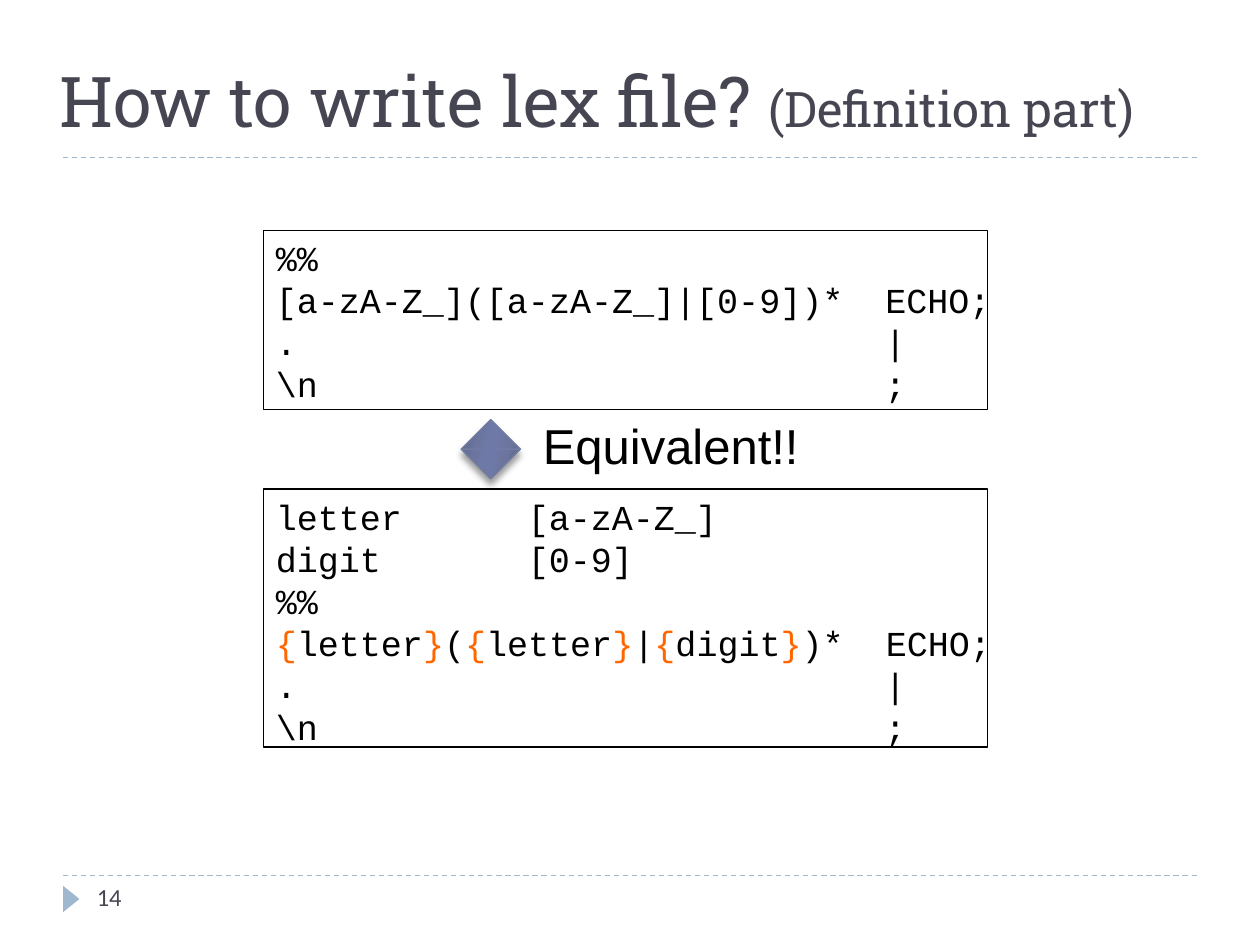
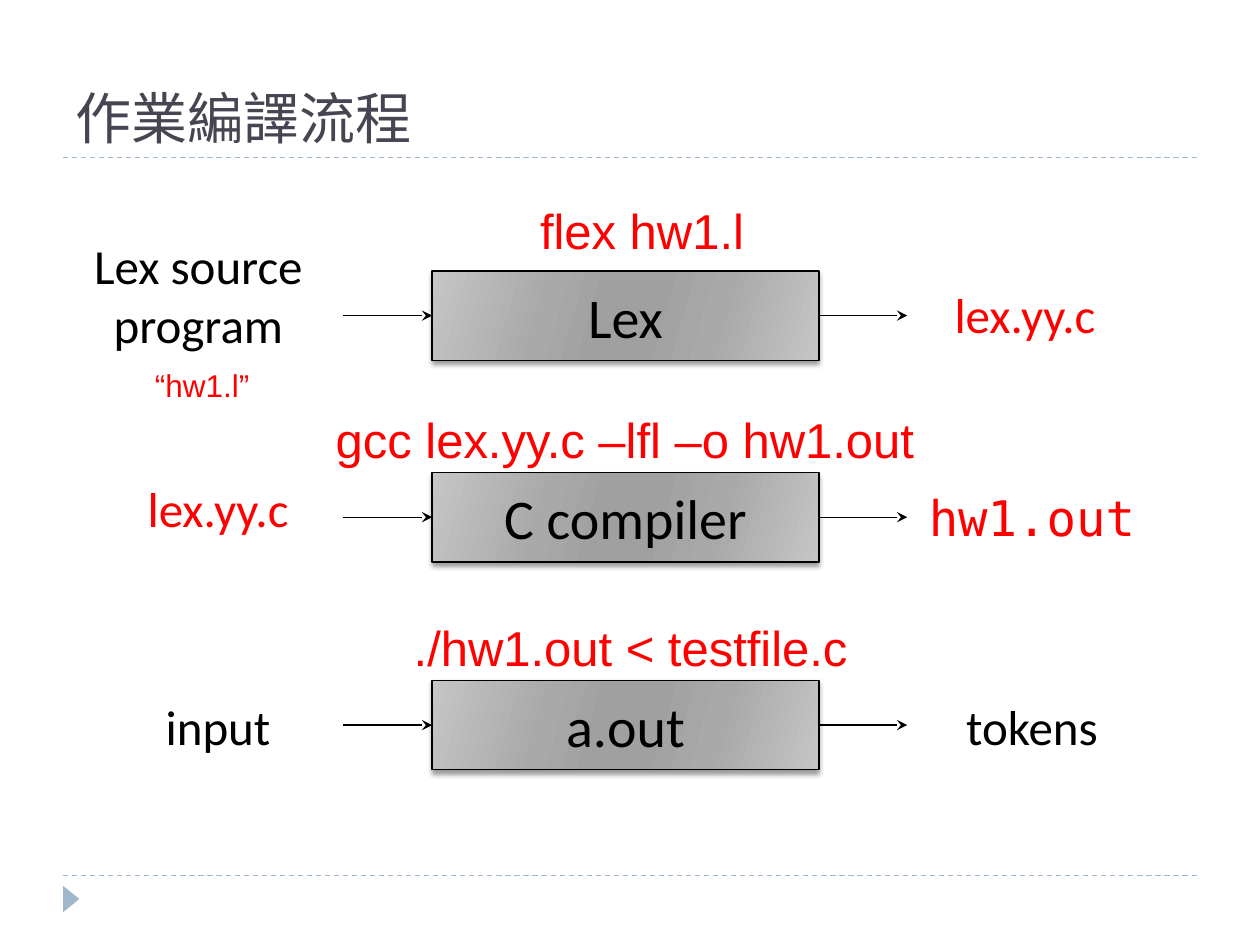
"""Build two slides on lex: the definition part and the compile flow."""
from itertools import groupby
from lxml import etree
from pptx import Presentation
from pptx.dml.color import RGBColor
from pptx.enum.dml import MSO_LINE
from pptx.enum.shapes import MSO_CONNECTOR, MSO_SHAPE
from pptx.enum.text import MSO_ANCHOR, MSO_AUTO_SIZE, PP_ALIGN
from pptx.oxml.ns import qn
from pptx.util import Inches, Pt

BLACK, WHITE, RED, ORANGE = "000000", "FFFFFF", "FF0000", "FF6600"
INK, SKY, INDIGO = "464653", "9FB8CD", "727CA3"
GREYS = ("C5C5C5", "A9A9A9", "A0A0A0")
BLUES = ("5D6585", "6B759E", "6E79A7")
STOPS = (0, 30, 45, 55, 73, 100)
LEFT, CENTER = PP_ALIGN.LEFT, PP_ALIGN.CENTER
rgb = RGBColor.from_string


def add_text(s, text, x, y, w, h, size, color, font="Calibri", align=CENTER):
    tb = s.shapes.add_textbox(Inches(x), Inches(y), Inches(w), Inches(h))
    tb.text_frame.word_wrap = True
    p = tb.text_frame.paragraphs[0]
    p.text, p.alignment = text, align
    p.font.size, p.font.name, p.font.color.rgb = Pt(size), font, rgb(color)


def add_line(s, x1, x2, y, color):
    line = s.shapes.add_connector(MSO_CONNECTOR.STRAIGHT, Inches(x1), Inches(y), Inches(x2), Inches(y))
    line.line.color.rgb, line.line.width = rgb(color), Pt(0.75)
    etree.SubElement(line.element.spPr, qn("a:effectLst"))
    return line


prs = Presentation()
prs.slide_width, prs.slide_height = Inches(10), Inches(7.5)
layout = prs.slide_layouts[5]
titles = [
    (0.37, 0.09, 9.61, [("How to write lex file? ", 40), ("(Definition part)", 28)], "Roboto Slab"),
    (0.5, 0.17, 9, [("作業編譯流程", 32)], "Calibri"),
]
for x, y, w, parts, font in titles:
    s = prs.slides.add_slide(layout)
    title = s.shapes.title
    title.left, title.top, title.width, title.height = Inches(x), Inches(y), Inches(w), Inches(1.08)
    tf = title.text_frame
    tf.auto_size, tf.vertical_anchor = MSO_AUTO_SIZE.NONE, MSO_ANCHOR.BOTTOM
    p = tf.paragraphs[0]
    p.alignment, p.font.name, p.font.color.rgb = LEFT, font, rgb(INK)
    for text, size in parts:
        r = p.add_run()
        r.text, r.font.size = text, Pt(size)
lex_slide, flow_slide = prs.slides

for y in (1.25, 6.95):
    rule = add_line(lex_slide, 0.5, 9.5, y, SKY)
    rule.line.dash_style = MSO_LINE.DASH
    layout.shapes.element.append(rule.element)
marker = lex_slide.shapes.add_shape(
    MSO_SHAPE.ISOSCELES_TRIANGLE, Inches(0.46), Inches(7.07), Inches(0.21), Inches(0.13))
marker.rotation = 90
marker.shadow.inherit = False
marker.fill.solid()
marker.fill.fore_color.rgb = rgb(SKY)
marker.line.fill.background()
layout.shapes.element.append(marker.element)

s = lex_slide
rest = [".\t\t\t\t     |", "\\n\t\t\t\t     ;"]
listings = [
    (1.83, 1.42, ["%%", "[a-zA-Z_]([a-zA-Z_]|[0-9])*  ECHO;"] + rest),
    (3.88, 2.05, ["letter\t[a-zA-Z_]", "digit\t\t[0-9]", "%%",
                  "{letter}({letter}|{digit})*  ECHO;"] + rest),
]
for y, h, lines in listings:
    box = s.shapes.add_shape(MSO_SHAPE.RECTANGLE, Inches(2.09), Inches(y), Inches(5.75), Inches(h))
    box.shadow.inherit = False
    box.fill.solid()
    box.fill.fore_color.rgb = rgb(WHITE)
    box.line.color.rgb, box.line.width = rgb(BLACK), Pt(0.75)
    tf = box.text_frame
    tf.word_wrap, tf.vertical_anchor = False, MSO_ANCHOR.TOP
    for i, line in enumerate(lines):
        p = tf.add_paragraph() if i else tf.paragraphs[0]
        p.alignment, p.font.size, p.font.name = LEFT, Pt(20), "Courier New"
        pPr = p._p.get_or_add_pPr()
        tabs = etree.Element(qn("a:tabLst"))
        pPr.insert(0, tabs)
        for stop in range(1, 5):
            etree.SubElement(tabs, qn("a:tab"), pos=str(Inches(stop)), algn="l")
        for is_brace, chars in groupby(line, key=lambda c: c in "{}"):
            r = p.add_run()
            r.text = "".join(chars)
            r.font.color.rgb = rgb(ORANGE if is_brace else BLACK)

arrow = s.shapes.add_shape(
    MSO_SHAPE.UP_DOWN_ARROW, Inches(3.66), Inches(3.33), Inches(0.47), Inches(0.47))
arrow.adjustments[0], arrow.adjustments[1] = 0.5, 0.2
glossy = [(arrow, BLUES, INDIGO, 4, 3.4)]
add_text(s, "Equivalent!!", 4.21, 3.25, 2.28, 0.57, 28, BLACK, "Arial", LEFT)
add_text(s, "14", 0.67, 6.95, 2.17, 0.4, 14, INK, align=LEFT)

s = flow_slide
for y, name in [(2.15, "Lex"), (3.75, "C compiler"), (5.4, "a.out")]:
    box = s.shapes.add_shape(MSO_SHAPE.RECTANGLE, Inches(3.43), Inches(y), Inches(3.07), Inches(0.71))
    glossy.append((box, GREYS, BLACK, 3, 2))
    tf = box.text_frame
    tf.word_wrap, tf.vertical_anchor = False, MSO_ANCHOR.MIDDLE
    p = tf.paragraphs[0]
    p.text, p.alignment = name, CENTER
    p.font.size, p.font.name, p.font.color.rgb = Pt(32), "Calibri", rgb(BLACK)
    middle = y + 0.71 / 2
    inflow = add_line(s, 2.72, 3.43, middle, BLACK)
    inflow.end_connect(box, 1)
    outflow = add_line(s, 6.5, 7.2, middle, BLACK)
    outflow.begin_connect(box, 3)
    for flow in (inflow, outflow):
        etree.SubElement(flow.get_or_add_ln(), qn("a:tailEnd"), type="stealth")

labels = [
    ("Lex source program", 0.51, 1.82, 2.13, 1.03, 28, BLACK),
    ("lex.yy.c", 0.59, 3.75, 2.28, 0.57, 28, RED),
    ("input", 0.59, 5.48, 2.28, 0.57, 28, BLACK),
    ("lex.yy.c", 7.07, 2.21, 2.13, 0.57, 28, RED),
    ("hw1.out", 7.05, 3.82, 2.28, 0.57, 28, RED, "DejaVu Sans Mono"),
    ("tokens", 7.05, 5.48, 2.28, 0.57, 28, BLACK),
    ("“hw1.l”", 0.59, 2.86, 2.03, 0.4, 18, RED, "Arial"),
    ("flex hw1.l", 3.12, 1.54, 3.95, 0.57, 28, RED, "Arial"),
    ("gcc lex.yy.c –lfl –o hw1.out", 2.56, 3.2, 4.8, 0.57, 28, RED, "Arial"),
    ("./hw1.out < testfile.c", 3.12, 4.85, 3.77, 0.57, 28, RED, "Arial"),
]
for label in labels:
    add_text(s, *label)

for shape, (edge, mid, core), outline, blur, dist in glossy:
    shape.fill.gradient()
    shape.fill.gradient_angle = 360 - 16
    stops = shape.element.spPr.find(".//" + qn("a:gsLst"))
    for old in list(stops):
        stops.remove(old)
    for pos, color in zip(STOPS, (edge, mid, core, core, mid, edge)):
        gs = etree.SubElement(stops, qn("a:gs"), pos=str(pos * 1000))
        etree.SubElement(gs, qn("a:srgbClr"), val=color)
    shape.line.color.rgb, shape.line.width = rgb(outline), Pt(0.75)
    shape.shadow.inherit = False
    shadow = etree.SubElement(
        shape.element.spPr.find(qn("a:effectLst")), qn("a:outerShdw"), blurRad=str(Pt(blur)),
        dist=str(Pt(dist)), dir=str(90 * 60000), rotWithShape="0")
    color = etree.SubElement(shadow, qn("a:srgbClr"), val=BLACK)
    etree.SubElement(color, qn("a:alpha"), val="40000")

prs.save("out.pptx")
